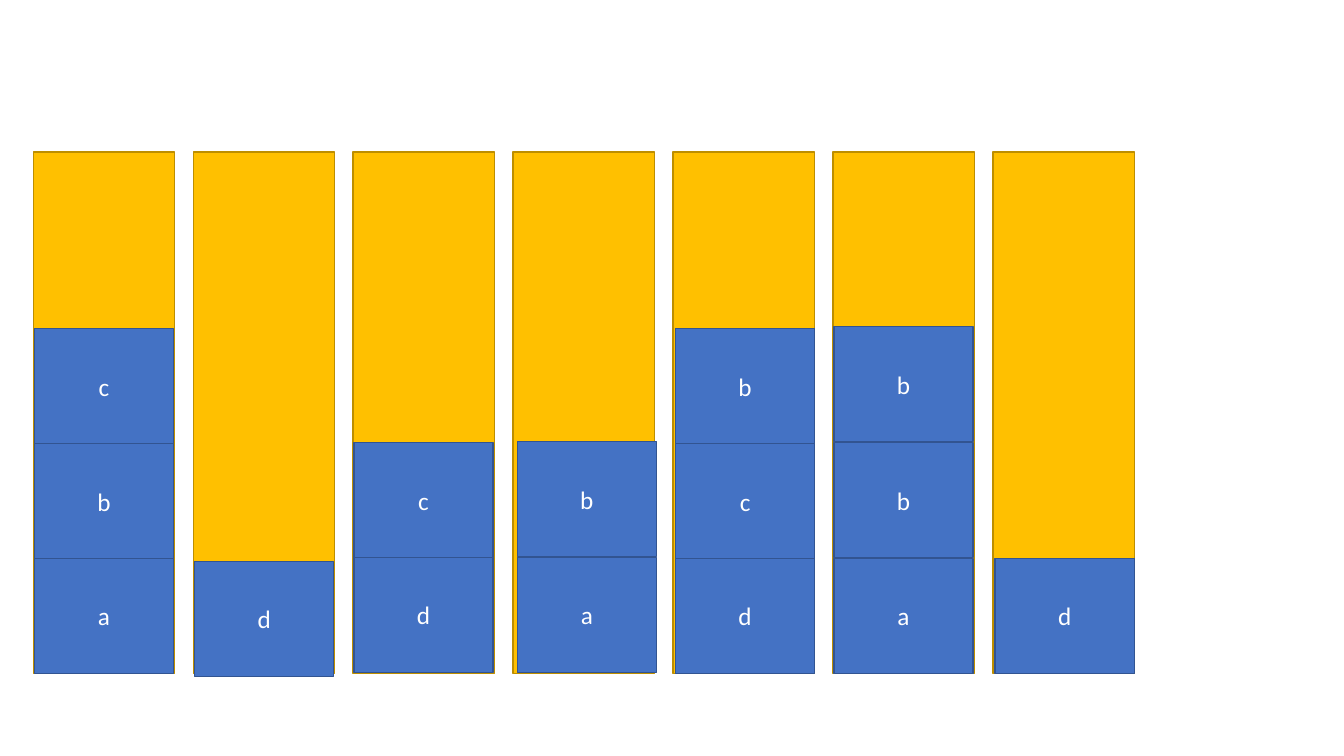
from dataclasses import dataclass

from pptx import Presentation
from pptx.dml.color import RGBColor
from pptx.enum.shapes import MSO_SHAPE as Shape
from pptx.enum.text import MSO_ANCHOR as Anchor, PP_ALIGN as Align
from pptx.util import Inches, Pt

COLORS = {
    "column": "FFC000",
    "column_line": "BD8E00",
    "block": "4472C4",
    "block_line": "325491",
    "text": "FFFFFF",
}

# Column grid and block size, in inches
FIRST_LEFT, LAST_LEFT = 0.33, 9.85
COLUMN_TOP, COLUMN_W, COLUMN_H = 1.51, 1.4, 5.17
BLOCK_W, BLOCK_H = 1.38, 1.14


@dataclass
class Stack:
    labels: str  # one letter per block, bottom to top
    left: float
    base_top: float = 5.54
    pitch: float = BLOCK_H


STACKS = [
    Stack("abc", 0.34),
    Stack("d", 1.93, base_top=5.57),
    Stack("dc", 3.51, base_top=5.53),
    Stack("ab", 5.13, base_top=5.53, pitch=1.15),
    Stack("dcb", 6.7),
    Stack("abb", 8.27, pitch=1.15),
    Stack("d", 9.87),
]


def add_box(slide, left: float, top: float, width: float, height: float,
            color: str, label: str = "") -> None:
    sp = slide.shapes.add_shape(Shape.RECTANGLE, Inches(left), Inches(top),
                                Inches(width), Inches(height))
    sp.shadow.inherit = False
    sp.fill.solid()
    sp.fill.fore_color.rgb = RGBColor.from_string(COLORS[color])
    sp.line.color.rgb = RGBColor.from_string(COLORS[color + "_line"])
    sp.line.width = Pt(1)
    if label:
        tf = sp.text_frame
        tf.vertical_anchor = Anchor.MIDDLE
        p = tf.paragraphs[0]
        p.text = label
        p.alignment = Align.CENTER
        p.font.name = "Calibri"
        p.font.size = Pt(18)
        p.font.color.rgb = RGBColor.from_string(COLORS["text"])


def add_stack(slide, stack: Stack) -> None:
    for level, label in enumerate(stack.labels):
        add_box(slide, stack.left, stack.base_top - level * stack.pitch,
                BLOCK_W, BLOCK_H, "block", label)


prs = Presentation()
prs.slide_width, prs.slide_height = Inches(13.33), Inches(7.5)
slide = prs.slides.add_slide(prs.slide_layouts[6])

# Evenly spaced columns
step = (LAST_LEFT - FIRST_LEFT) / (len(STACKS) - 1)
for i in range(len(STACKS)):
    add_box(slide, FIRST_LEFT + i * step, COLUMN_TOP, COLUMN_W, COLUMN_H, "column")

# Lettered blocks in front of the columns
for stack in STACKS:
    add_stack(slide, stack)

prs.save("out.pptx")
